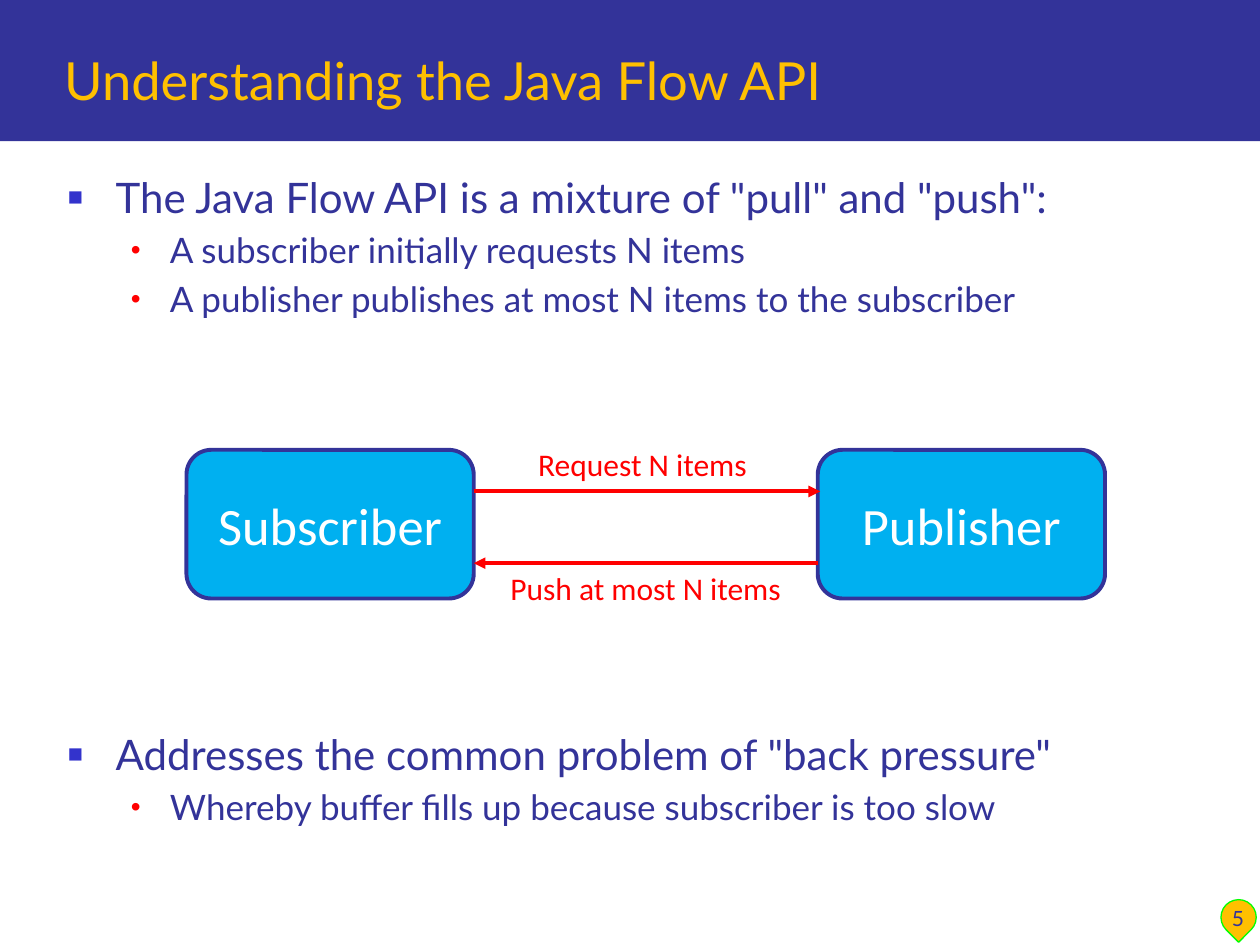
from lxml import etree
from pptx import Presentation, util as u
from pptx.dml.color import RGBColor
from pptx.enum import shapes, text
from pptx.oxml.ns import qn

COLORS = {"navy": "333399", "gold": "FFC000", "green": "00FF00", "sky": "00B0F0",
          "red": "FF0000", "white": "FFFFFF", "bullet": "3333CC"}

TITLE = "Understanding the Java Flow API"
PAGE_NUMBER = "5"
# level, space before in points, text
POINTS = [
    (0, 0, 'The Java Flow API is a mixture of "pull" and "push":'),
    (1, 4, "A subscriber initially requests N items"),
    (1, 4, "A publisher publishes at most N items to the subscriber"),
    (0, 233.6, 'Addresses the common problem of "back pressure"'),
    (1, 4, "Whereby buffer fills up because subscriber is too slow"),
]
# size, left margin, hanging indent, bullet, bullet colour, bullet size in percent
LEVELS = [(24, 0.38, 0.38, "■", "bullet", 60), (20, 0.81, 0.31, "•", "red", 80)]

BOX_TOP, BOX_WIDTH, BOX_HEIGHT = 3.57, 2.28, 1.18
BOXES = [("Subscriber", 1.48), ("Publisher", 6.49)]
GAP_LEFT, GAP_RIGHT = BOXES[0][1] + BOX_WIDTH, BOXES[1][1]
# label, label box, arrow start, arrow end, arrow height
MESSAGES = [
    ("Request N items", (4.16, 3.48, 1.88, 0.4), GAP_LEFT, GAP_RIGHT + 0.02, 3.9),
    ("Push at most N items", (3.91, 4.47, 2.43, 0.4), GAP_RIGHT, GAP_LEFT, 4.47),
]


def rgb(name):
    return RGBColor.from_string(COLORS[name])


def inches(*values):
    return [u.Inches(value) for value in values]


def style(paragraph, size, color, font="Lato", align=None):
    paragraph.font.size = u.Pt(size)
    paragraph.font.name = font
    paragraph.font.color.rgb = rgb(color)
    paragraph.alignment = align


def add_shape(slide, kind, place, fill, line=None, width=0.75):
    shape = slide.shapes.add_shape(kind, *inches(*place))
    shape.shadow.inherit = False
    shape.fill.solid()
    shape.fill.fore_color.rgb = rgb(fill)
    if line:
        shape.line.color.rgb = rgb(line)
        shape.line.width = u.Pt(width)
    else:
        shape.line.fill.background()
    return shape


def add_text(slide, place, words, size, color, font, wrap=True):
    frame = slide.shapes.add_textbox(*inches(*place)).text_frame
    frame.word_wrap = wrap
    frame.text = words
    style(frame.paragraphs[0], size, color, font, text.PP_ALIGN.CENTER)
    return frame


def add_bullet(paragraph, margin, hanging, mark, color, percent):
    properties = paragraph._p.get_or_add_pPr()
    properties.set("marL", str(u.Inches(margin)))
    properties.set("indent", str(-u.Inches(hanging)))
    bullet_color = etree.SubElement(properties, qn("a:buClr"))
    etree.SubElement(bullet_color, qn("a:srgbClr"), val=COLORS[color])
    etree.SubElement(properties, qn("a:buSzPct"), val=str(percent * 1000))
    etree.SubElement(properties, qn("a:buFont"), typeface="Arial")
    etree.SubElement(properties, qn("a:buChar"), char=mark)
    # The schema puts default run properties after the bullet
    defaults = properties.find(qn("a:defRPr"))
    if defaults is not None:
        properties.append(defaults)


def add_arrow(slide, start, end, height):
    arrow = slide.shapes.add_connector(
        shapes.MSO_CONNECTOR.STRAIGHT, *inches(start, height, end, height))
    arrow.line.color.rgb = rgb("red")
    arrow.line.width = u.Pt(2.25)
    etree.SubElement(arrow.line._get_or_add_ln(), qn("a:tailEnd"), type="triangle")
    etree.SubElement(arrow._element.spPr, qn("a:effectLst"))


def main():
    presentation = Presentation()
    presentation.slide_width, presentation.slide_height = inches(10, 7.5)
    slide = presentation.slides.add_slide(presentation.slide_layouts[5])
    kinds = shapes.MSO_SHAPE

    # Title over its band
    band = add_shape(slide, kinds.RECTANGLE, (0, 0, 10, 1.12), "navy")
    slide.shapes._spTree.insert(2, band._element)
    title = slide.shapes.title
    title.left, title.top, title.width, title.height = inches(0.41, 0.17, 9.35, 0.76)
    title.text_frame.text = TITLE
    title.text_frame.vertical_anchor = text.MSO_ANCHOR.BOTTOM
    style(title.text_frame.paragraphs[0], 30, "gold", align=text.PP_ALIGN.LEFT)

    # Page number in its marker
    marker = add_shape(slide, kinds.TEAR, (9.69, 7.14, 0.28, 0.28), "gold", "green")
    marker.rotation = 134.9
    number = add_text(slide, (9.54, 6.94, 0.57, 0.5), PAGE_NUMBER, 12, "navy", "Lato")
    number.vertical_anchor = text.MSO_ANCHOR.BOTTOM

    # Bulleted points, with room left for the diagram
    body = slide.shapes.add_textbox(*inches(0.44, 1.31, 9.28, 5.4)).text_frame
    body.word_wrap = True
    for index, (level, space, words) in enumerate(POINTS):
        paragraph = body.add_paragraph() if index else body.paragraphs[0]
        paragraph.text = words
        paragraph.level = level
        paragraph.space_before = u.Pt(space)
        size, *bullet = LEVELS[level]
        style(paragraph, size, "navy")
        add_bullet(paragraph, *bullet)

    # Diagram boxes
    for name, left in BOXES:
        box = add_shape(slide, kinds.ROUNDED_RECTANGLE,
                        (left, BOX_TOP, BOX_WIDTH, BOX_HEIGHT), "sky", "navy", 2.25)
        box.text_frame.text = name
        box.text_frame.vertical_anchor = text.MSO_ANCHOR.MIDDLE
        style(box.text_frame.paragraphs[0], 30, "white", "Calibri", text.PP_ALIGN.CENTER)

    # Messages between the boxes
    for label, place, start, end, height in MESSAGES:
        add_arrow(slide, start, end, height)
        add_text(slide, place, label, 18, "red", "Calibri", wrap=False)

    presentation.save("out.pptx")


if __name__ == "__main__":
    main()
